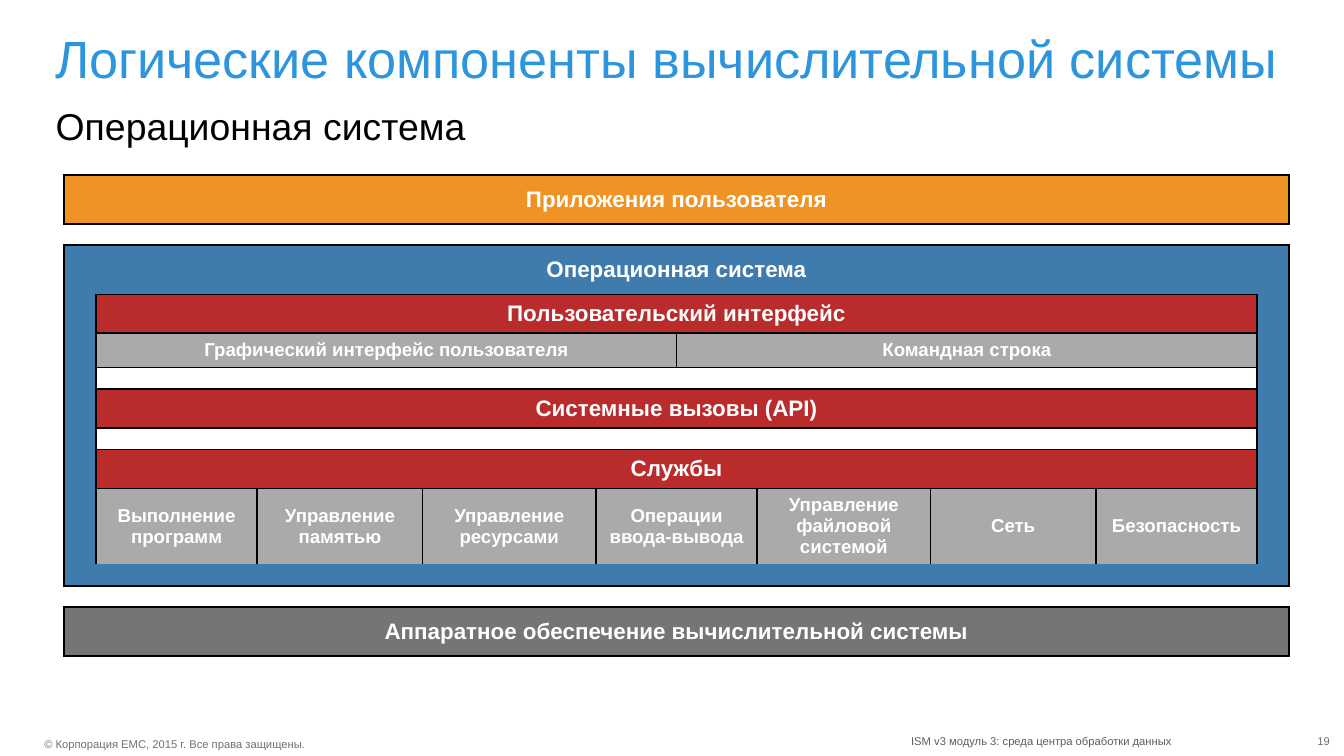
from lxml.etree import SubElement
from pptx import Presentation
from pptx.dml.color import RGBColor
from pptx.enum.text import MSO_ANCHOR as Anchor, MSO_AUTO_SIZE as AutoSize, PP_ALIGN as Align
from pptx.oxml.ns import qn
from pptx.util import Inches, Pt

CELL = Inches(0.1)  # the slide is a grid of 100 columns in 16:9 format
COLUMNS = 100
ROWS = COLUMNS * 9 / 16

BLACK = RGBColor(0x00, 0x00, 0x00)
WHITE = RGBColor(0xFF, 0xFF, 0xFF)
SKY = RGBColor(0x2C, 0x95, 0xDD)
ORANGE = RGBColor(0xEF, 0x93, 0x24)
BLUE = RGBColor(0x40, 0x7B, 0xAD)
RED = RGBColor(0xBA, 0x2C, 0x2C)
LIGHT_GRAY = RGBColor(0xAA, 0xA9, 0xAC)
DARK_GRAY = RGBColor(0x74, 0x75, 0x77)
FOOTER_GRAY = RGBColor(0x71, 0x70, 0x73)
MODULE_GRAY = RGBColor(0x5B, 0x5E, 0x61)

PLAIN_TABLE_STYLE = "{2D5ABB26-0587-4C30-8999-92F81FD0307C}"
HALF_WIDTHS = [2.4, 12, 12.3, 12.9, 6]
LAYER_WIDTHS = HALF_WIDTHS + HALF_WIDTHS[::-1]
LAST = len(LAYER_WIDTHS) - 1
BAR, LABEL, DETAIL, SERVICE, GAP = 3.65, 2.9, 2.55, 5.65, 1.6

# Each layer: height, then its blocks as (first column, last column, text, size, fill, borders)
LAYERS = [
    (BAR, [(0, LAST, "Приложения пользователя", 12, ORANGE, "LRTB")]),
    (GAP, [(0, LAST, "", 6, None, "TB")]),
    (BAR, [(0, LAST, "Операционная система", 12, BLUE, "LRT")]),
    (LABEL, [(1, 8, "Пользовательский интерфейс", 12, RED, "LRTB")]),
    (DETAIL, [(1, 4, "Графический интерфейс пользователя", 10, LIGHT_GRAY, "LRTB"),
              (5, 8, "Командная строка", 10, LIGHT_GRAY, "LRTB")]),
    (GAP, [(1, 8, "", 6, None, "LRTB")]),
    (LABEL, [(1, 8, "Системные вызовы (API)", 12, RED, "LRTB")]),
    (GAP, [(1, 8, "", 6, None, "LRTB")]),
    (LABEL, [(1, 8, "Службы", 12, RED, "LRTB")]),
    (SERVICE, [(first, last, text, 10, LIGHT_GRAY, "LRT") for first, last, text in (
        (1, 1, "Выполнение программ"),
        (2, 2, "Управление памятью"),
        (3, 3, "Управление ресурсами"),
        (4, 5, "Операции ввода-вывода"),
        (6, 6, "Управление файловой системой"),
        (7, 7, "Сеть"),
        (8, 8, "Безопасность"),
    )]),
    (GAP, [(0, LAST, "", 6, BLUE, "LRB")]),
    (GAP, [(0, LAST, "", 6, None, "TB")]),
    (BAR, [(0, LAST, "Аппаратное обеспечение вычислительной системы", 12, DARK_GRAY, "LRTB")]),
]


def grid(count):
    return round(count * CELL)


class SlideBuilder:
    def __init__(self, slide, font_name="Arial"):
        self.slide = slide
        self.font_name = font_name

    def style(self, paragraph, size, color, bold=False, align=Align.LEFT):
        paragraph.alignment = align
        for run in paragraph.runs:
            font = run.font
            font.name, font.size, font.bold = self.font_name, Pt(size), bold
            font.color.rgb = color

    def text(self, text, place, size, color, anchor=Anchor.TOP, align=Align.LEFT,
             spacing=None, wrap=True, grow=False):
        box = self.slide.shapes.add_textbox(*map(grid, place))
        frame = box.text_frame
        frame.margin_left = frame.margin_right = frame.margin_top = frame.margin_bottom = 0
        frame.word_wrap = wrap
        frame.auto_size = AutoSize.SHAPE_TO_FIT_TEXT if grow else AutoSize.NONE
        frame.vertical_anchor = anchor
        frame.text = text
        paragraph = frame.paragraphs[0]
        paragraph.line_spacing = spacing
        self.style(paragraph, size, color, align=align)

    def borders(self, cell, sides):
        """Draw the named sides and switch the others off."""
        properties = cell._tc.get_or_add_tcPr()
        for side in "LRTB":
            line = SubElement(properties, qn(f"a:ln{side}"), w=str(Pt(1)))
            if side in sides:
                fill = SubElement(line, qn("a:solidFill"))
                SubElement(fill, qn("a:srgbClr"), val=str(BLACK))
            else:
                SubElement(line, qn("a:noFill"))

    def block(self, table, row, first, last, text, size, fill, sides):
        """Fill one merged run of cells in a table row."""
        cell = table.cell(row, first)
        for column in sorted({first, last}):
            self.borders(table.cell(row, column), sides)
        if last > first:
            cell.merge(table.cell(row, last))
        if fill is None:
            cell.fill.background()
        else:
            cell.fill.solid()
            cell.fill.fore_color.rgb = fill
        cell.margin_left = cell.margin_right = grid(0.5)
        cell.margin_top = cell.margin_bottom = grid(0.3 if text else 0)
        cell.vertical_anchor = Anchor.MIDDLE
        paragraph = cell.text_frame.paragraphs[0]
        if text:
            paragraph.text = text
            self.style(paragraph, size, WHITE, bold=True, align=Align.CENTER)
        else:
            SubElement(paragraph._p, qn("a:endParaRPr"), sz=str(size * 100))

    def layers(self, left, top):
        heights = [height for height, _ in LAYERS]
        frame = self.slide.shapes.add_table(
            len(LAYERS), len(LAYER_WIDTHS), grid(left), grid(top),
            grid(sum(LAYER_WIDTHS)), grid(sum(heights)))
        table = frame.table
        table.first_row = table.horz_banding = False
        table._tbl.tblPr.find(qn("a:tableStyleId")).text = PLAIN_TABLE_STYLE
        for column, width in zip(table.columns, LAYER_WIDTHS):
            column.width = grid(width)
        for row, (height, blocks) in enumerate(LAYERS):
            table.rows[row].height = grid(height)
            if blocks[0][0] == 1:
                for edge in (0, LAST):
                    self.block(table, row, edge, edge, "", 6, BLUE, "LR")
            for block in blocks:
                self.block(table, row, *block)


def main():
    presentation = Presentation()
    presentation.slide_width, presentation.slide_height = grid(COLUMNS), grid(ROWS)
    builder = SlideBuilder(presentation.slides.add_slide(presentation.slide_layouts[6]))

    builder.text("© Корпорация EMC, 2015 г. Все права защищены.",
                 (3.3, 54.85, 19.7, 1), 6, FOOTER_GRAY, wrap=False, grow=True)
    builder.text("ISM v3 модуль 3: среда центра обработки данных",
                 (67.8, 54.65, 19.7, 1), 6, MODULE_GRAY, wrap=False, grow=True)
    builder.text("Логические компоненты вычислительной системы",
                 (4.1, 2.5, 92.5, 5), 28, SKY, spacing=0.9)
    builder.text("Операционная система",
                 (4.15, 7.7, 92.4, 3.3), 20, BLACK, anchor=Anchor.BOTTOM)
    builder.layers(4.74, 13)
    builder.text("19", (95.85, 54.65, 3.1, 1), 6, FOOTER_GRAY, align=Align.RIGHT, grow=True)

    presentation.save("out.pptx")


if __name__ == "__main__":
    main()
